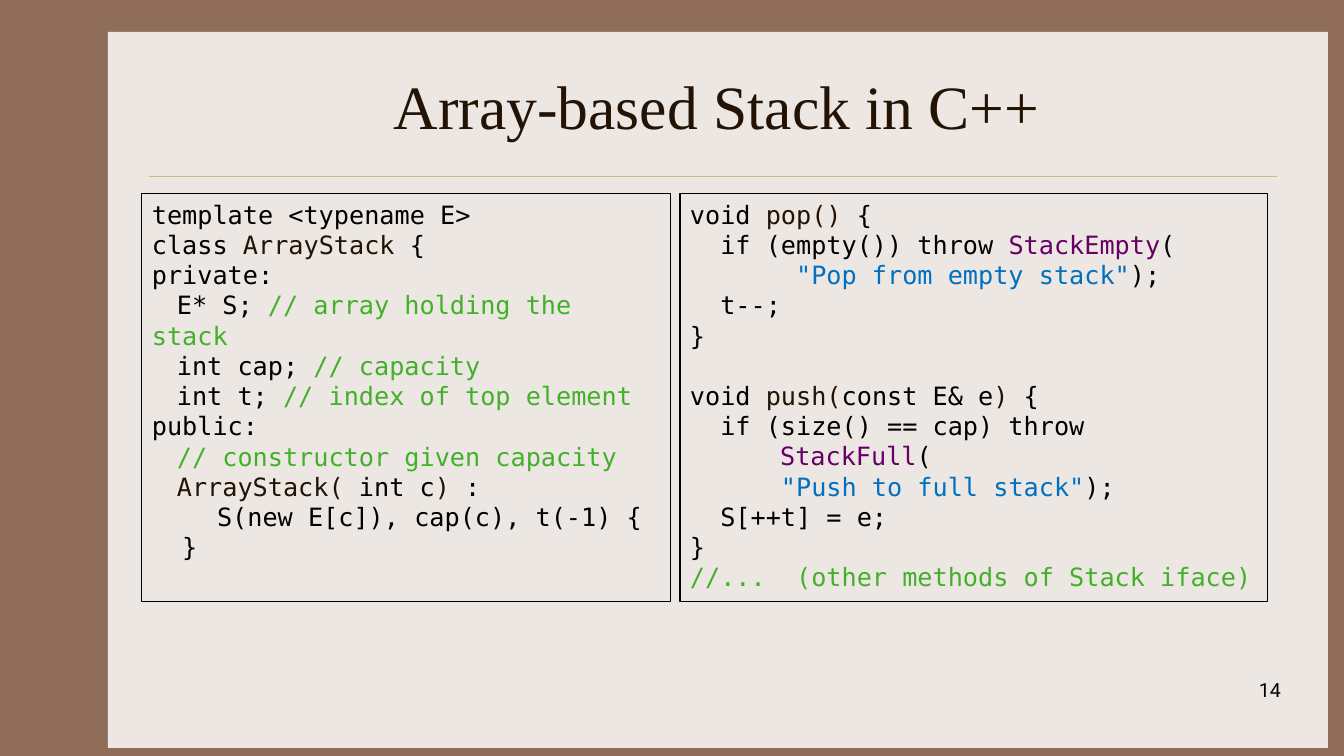
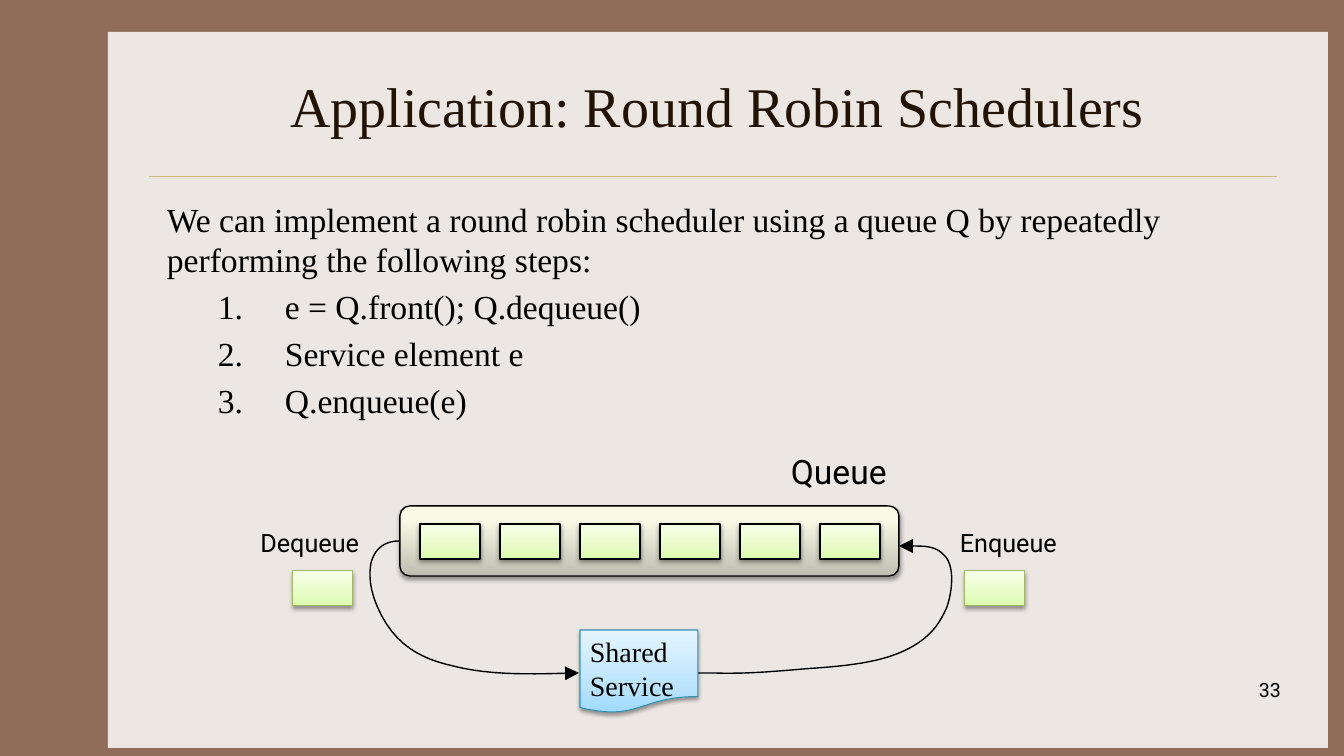
"""Build two slides on stacks and queues: C++ code and a round robin scheduler."""
from copy import deepcopy
from dataclasses import dataclass

from lxml import etree
from pptx import Presentation
from pptx.dml.color import RGBColor
from pptx.enum.shapes import MSO_CONNECTOR, MSO_SHAPE
from pptx.enum.text import MSO_ANCHOR, MSO_AUTO_SIZE, PP_ALIGN
from pptx.oxml.ns import qn
from pptx.util import Pt

PX = 12192000 / 1344


@dataclass(frozen=True)
class Theme:
    """Colours, fonts and type sizes of the deck."""
    frame: str = "906D58"
    panel: str = "EDE7E3"
    rule: str = "CBBD83"
    brown: str = "221304"
    black: str = "000000"
    comment: str = "43B02A"
    error: str = "660066"
    string: str = "0070C0"
    item_line: str = "9EBB65"
    service_line: str = "3292B5"
    serif: str = "Times New Roman"
    sans: str = "Roboto"
    mono: str = "DejaVu Sans Mono"
    body_size: int = 24
    service_size: int = 20
    small_size: int = 18
    number_size: int = 14
    queue_stops: tuple = ((0, "BFBFB1"), (0.8, "F8F8E5"), (1, "FAFAE6"))
    item_stops: tuple = ((0, "DCFBAD"), (0.35, "E6FBC5"), (1, "F5FFE8"))
    service_stops: tuple = ((0, "9FDAFE"), (0.35, "BDE4FD"), (1, "E5F5FF"))


T = Theme()


def write(frame, lines, font, size, align=PP_ALIGN.LEFT):
    """Fill a text frame; each line is a list of (text, colour) runs."""
    layout = {"word_wrap": True, "auto_size": MSO_AUTO_SIZE.NONE}
    for name, value in layout.items():
        setattr(frame, name, value)
    for index, runs in enumerate(lines):
        paragraph = frame.add_paragraph() if index else frame.paragraphs[0]
        paragraph.alignment = align
        for text, colour in runs:
            run = paragraph.add_run()
            run.text = text
            for name, value in {"name": font, "size": Pt(size)}.items():
                setattr(run.font, name, value)
            run.font.color.rgb = RGBColor.from_string(colour)


def add_block(slide, kind, box, stops, line, width):
    """Add a shape with an upward gradient, an outline and a soft shadow."""
    block = slide.shapes.add_shape(kind, *[round(v * PX) for v in box])
    block.fill.gradient()
    block.fill.gradient_angle = 90
    properties = block._element.spPr
    stop_list = properties.find(qn("a:gradFill")).find(qn("a:gsLst"))
    stop_list.append(deepcopy(stop_list[0]))
    for stop, (position, colour) in zip(block.fill.gradient_stops, stops):
        stop.position = position
        stop.color.rgb = RGBColor.from_string(colour)
    block.line.color.rgb = RGBColor.from_string(line)
    block.line.width = Pt(width)
    block.shadow.inherit = False
    shadow = etree.SubElement(
        properties.find(qn("a:effectLst")), qn("a:outerShdw"),
        blurRad="40000", dist="20000", dir="5400000", rotWithShape="0")
    shade = etree.SubElement(shadow, qn("a:srgbClr"), val=T.black)
    etree.SubElement(shade, qn("a:alpha"), val="38000")
    return block


prs = Presentation()
prs.slide_width, prs.slide_height = round(1344 * PX), round(756 * PX)
backdrop = prs.slide_master.background.fill
backdrop.solid()
backdrop.fore_color.rgb = RGBColor.from_string(T.frame)

slides = []
for heading, heading_size, number in [
    ("Array-based Stack in C++", 44, "14"),
    ("Application: Round Robin Schedulers", 40, "33"),
]:
    slide = prs.slides.add_slide(prs.slide_layouts[5])
    slides.append(slide)
    panel = slide.shapes.add_shape(
        MSO_SHAPE.RECTANGLE, *[round(v * PX) for v in (108, 32, 1220, 716)])
    panel.fill.solid()
    panel.fill.fore_color.rgb = RGBColor.from_string(T.panel)
    panel.line.fill.background()
    panel.shadow.inherit = False
    rule = slide.shapes.add_connector(
        MSO_CONNECTOR.STRAIGHT, *[round(v * PX) for v in (149, 176, 1277, 176)])
    rule.line.color.rgb = RGBColor.from_string(T.rule)
    rule.line.width = Pt(0.25)
    etree.SubElement(rule._element.spPr, qn("a:effectLst"))
    for position, part in enumerate((panel, rule), start=2):
        slide.shapes._spTree.insert(position, part._element)

    title = slide.shapes.title
    for name, value in zip(("left", "top", "width", "height"), (157, 42, 1120, 126)):
        setattr(title, name, round(value * PX))
    title.text_frame.vertical_anchor = MSO_ANCHOR.MIDDLE
    write(title.text_frame, [[(heading, T.brown)]], T.serif, heading_size, PP_ALIGN.CENTER)
    page = slide.shapes.add_textbox(*[round(v * PX) for v in (1011, 673, 280, 50)])
    write(page.text_frame, [[(number, T.black)]], T.sans, T.number_size, PP_ALIGN.RIGHT)

stack_slide, queue_slide = slides

class_code = [
    [("template <typename E>", T.black)],
    [("class ", T.black), ("ArrayStack", T.brown), (" {", T.black)],
    [("private:", T.black)],
    [("\tE* S; ", T.black), ("// array holding the stack", T.comment)],
    [("\tint cap; ", T.black), ("// capacity", T.comment)],
    [("\tint t; ", T.black), ("// index of top element", T.comment)],
    [("public:", T.black)],
    [("\t// constructor given capacity", T.comment)],
    [("\tArrayStack( ", T.brown), ("int c", T.black), (") ", T.brown), (":", T.black)],
    [("\t\t S(new E[c]), cap(c), t(-1) {", T.black)],
    [("  }", T.black)],
]
pop_code = [
    [("void ", T.black), ("pop()", T.brown), (" {", T.black)],
    [("  if (empty()) throw ", T.black), ("StackEmpty", T.error), ("(", T.black)],
    [("       \"Pop from empty stack\"", T.string), (");", T.black)],
    [("  t--;", T.black)],
    [("}", T.black)],
]
push_code = [
    [("void ", T.black), ("push(", T.brown), ("const E& e", T.black),
     (") ", T.brown), ("{", T.black)],
    [("  if (size() == cap) throw", T.black)],
    [("\t\t\t ", T.black), ("StackFull", T.error), ("(", T.black)],
    [("      ", T.black), ("\"Push to full stack\"", T.string), (");", T.black)],
    [("  S[++t] = e;", T.black)],
    [("}", T.black)],
    [("//...  (other methods of Stack iface)", T.comment)],
]
for left, width, code in [(142, 529, class_code), (680, 588, pop_code + push_code)]:
    listing = stack_slide.shapes.add_textbox(
        *[round(v * PX) for v in (left, 194, width, 408)])
    listing.line.color.rgb = RGBColor.from_string(T.black)
    listing.line.width = Pt(0.75)
    write(listing.text_frame, code, T.mono, T.small_size)
    for paragraph in listing.text_frame.paragraphs:
        tabs = etree.SubElement(paragraph._p.get_or_add_pPr(), qn("a:tabLst"))
        for step in (1, 2, 3):
            etree.SubElement(tabs, qn("a:tab"), pos=str(round(25 * step * PX)), algn="l")
listing.text_frame.paragraphs[len(pop_code)].space_before = Pt(21.5)

steps = queue_slide.shapes.add_textbox(*[round(v * PX) for v in (157, 194, 1120, 245)])
write(steps.text_frame, [[(text, T.black)] for text in (
    "We can implement a round robin scheduler using a queue Q by repeatedly "
    "performing the following steps:",
    "e = Q.front(); Q.dequeue()",
    "Service element e",
    "Q.enqueue(e)",
)], T.serif, T.body_size)
for step in steps.text_frame.paragraphs[1:]:
    step.space_before = Pt(4.8)
    numbering = step._p.get_or_add_pPr()
    for name, value in {"marL": 118, "indent": -67}.items():
        numbering.set(name, str(round(value * PX)))
    etree.SubElement(numbering, qn("a:buFont"), typeface=T.serif)
    etree.SubElement(numbering, qn("a:buAutoNum"), type="arabicPeriod")

queue = add_block(queue_slide, MSO_SHAPE.ROUNDED_RECTANGLE, (400, 506, 499, 70),
                  T.queue_stops, T.black, 1)
queue.adjustments[0] = 0.14
items = [(420 + 80 * slot, 524, T.black, 1) for slot in range(6)]
items += [(left, 571, T.item_line, 0.75) for left in (293, 965)]
for left, top, line, width in items:
    add_block(queue_slide, MSO_SHAPE.RECTANGLE, (left, top, 60, 35),
              T.item_stops, line, width)

dequeue_route = [
    (400, 541), (381, 541), (374, 552), (371, 563), (368, 579), (372, 594), (377, 606),
    (394, 646), (422, 659), (453, 666), (492, 676), (534, 674), (579, 673),
]
enqueue_route = [
    (697, 673), (702, 673), (708, 673), (714, 673), (742, 674), (769, 672), (803, 669),
    (831, 667), (862, 665), (888, 657), (907, 651), (923, 642), (934, 629),
    (939, 623), (943, 616), (947, 607), (953, 589), (955, 564), (943, 554),
    (939, 550), (934, 548), (929, 547), (924, 546), (918, 546), (899, 546),
]
for route in (dequeue_route, enqueue_route):
    points = []
    for first in range(0, len(route) - 1, 3):
        for t in [n / 12 for n in range(1, 13)]:
            weights = ((1 - t) ** 3, 3 * t * (1 - t) ** 2, 3 * t * t * (1 - t), t ** 3)
            points.append(tuple(
                sum(w * knot[axis] for w, knot in zip(weights, route[first:first + 4])) * PX
                for axis in (0, 1)))
    outline = queue_slide.shapes.build_freeform(*[v * PX for v in route[0]])
    outline.add_line_segments(points, close=False)
    flow = outline.convert_to_shape()
    flow.fill.background()
    flow.line.color.rgb = RGBColor.from_string(T.black)
    flow.line.width = Pt(1)
    flow.shadow.inherit = False
    etree.SubElement(flow._element.spPr.find(qn("a:ln")), qn("a:tailEnd"),
                     type="triangle", w="lg", len="lg")

service = add_block(queue_slide, MSO_SHAPE.FLOWCHART_DOCUMENT, (580, 630, 118, 83),
                    T.service_stops, T.service_line, 0.75)
service.text_frame.vertical_anchor = MSO_ANCHOR.TOP
write(service.text_frame, [[("Shared", T.black)], [("Service", T.black)]],
      T.serif, T.service_size)

for text, box, size, align in [
    ("Queue", (781, 446, 140, 51), T.body_size, PP_ALIGN.LEFT),
    ("Enqueue", (950, 522, 210, 40), T.small_size, PP_ALIGN.LEFT),
    ("Dequeue", (185, 522, 184, 40), T.small_size, PP_ALIGN.RIGHT),
]:
    label = queue_slide.shapes.add_textbox(*[round(v * PX) for v in box])
    write(label.text_frame, [[(text, T.black)]], T.sans, size, align)

prs.save("out.pptx")
